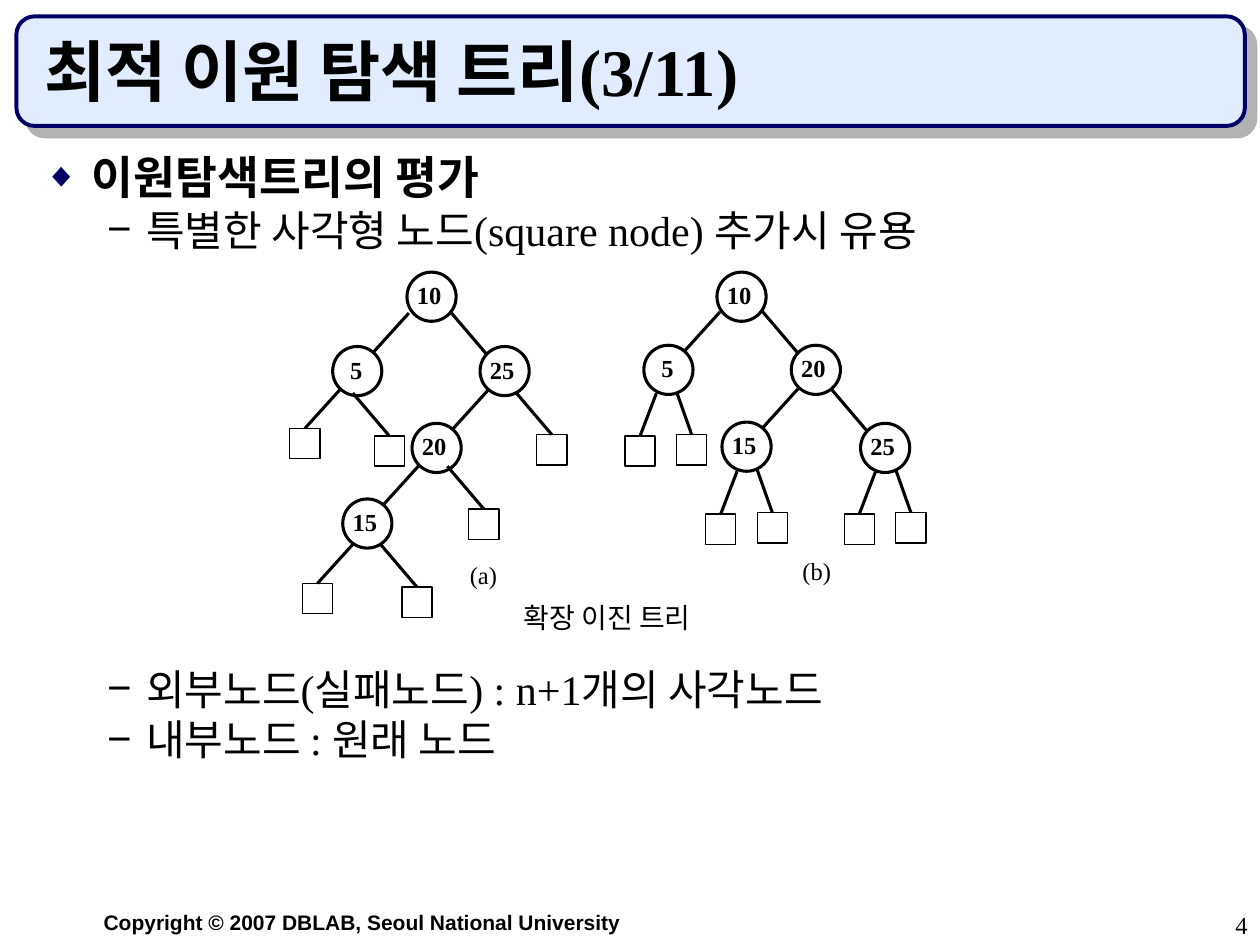
from dataclasses import dataclass

from lxml import etree
from pptx import Presentation
from pptx.dml.color import RGBColor
from pptx.enum.shapes import MSO_CONNECTOR, MSO_SHAPE
from pptx.enum.text import MSO_ANCHOR, MSO_AUTO_SIZE, PP_ALIGN
from pptx.oxml.ns import qn
from pptx.util import Inches, Pt

STRAIGHT = MSO_CONNECTOR.STRAIGHT
CIRCLE, SQUARE, ROUNDED = MSO_SHAPE.OVAL, MSO_SHAPE.RECTANGLE, MSO_SHAPE.ROUNDED_RECTANGLE
LEFT, CENTER, RIGHT, JUSTIFY = PP_ALIGN.LEFT, PP_ALIGN.CENTER, PP_ALIGN.RIGHT, PP_ALIGN.JUSTIFY
TOP, BOTTOM = MSO_ANCHOR.TOP, MSO_ANCHOR.BOTTOM
NO_FIT, GROW = MSO_AUTO_SIZE.NONE, MSO_AUTO_SIZE.SHAPE_TO_FIT_TEXT


@dataclass(frozen=True)
class Theme:
    ink: str = "000000"
    accent: str = "000066"
    banner: str = "E1ECFF"
    shadow: str = "B2B2B2"
    serif: str = "Times New Roman"
    sans: str = "Arial"
    title: float = 38
    topic: float = 26
    item: float = 24
    caption: float = 16
    label: float = 14
    footer: float = 12
    heavy: float = 2.25
    stroke: float = 1.75
    thin: float = 0.75


THEME = Theme()

NODE, LEAF = 0.39, 0.24  # circle and square sizes

# Edge kind: run from parent to child, and where it lands from the child's centre
EDGES = {
    "left": ((-0.29, 0.32), (0.12, -0.14)),
    "right": ((0.29, 0.34), (-0.14, -0.13)),
    "steep left": ((-0.13, 0.34), None),
    "steep right": ((0.12, 0.34), None),
}

# Trees as (label, left, top, edge from the parent); a node without label is external
TREE_A = [
    ("10", 0.93, 0, None),
    ("5", 0.34, 0.59, "left"), ("25", 1.51, 0.59, "right"),
    ("20", 0.97, 1.2, "left"), ("15", 0.42, 1.8, "left"),
    ("", 0, 1.24, "left"), ("", 0.67, 1.3, "right"),
    ("", 1.96, 1.29, "right"), ("", 1.42, 1.88, "right"),
    ("", 0.1, 2.47, "left"), ("", 0.89, 2.5, "right"),
]
TREE_B = [
    ("10", 0.73, 0, None),
    ("5", 0.15, 0.58, "left"), ("20", 1.32, 0.58, "right"),
    ("15", 0.77, 1.19, "left"), ("25", 1.87, 1.2, "right"),
    ("", 0, 1.3, "steep left"), ("", 0.41, 1.29, "steep right"),
    ("", 0.64, 1.92, "steep left"), ("", 1.05, 1.91, "steep right"),
    ("", 1.74, 1.92, "steep left"), ("", 2.15, 1.91, "steep right"),
]


def inches(*values):
    return [Inches(value) for value in values]


def place(shape, box):
    shape.left, shape.top, shape.width, shape.height = inches(*box)


def add_bullet(paragraph, character, color, percent, left, hanging):
    properties = paragraph._p.get_or_add_pPr()
    properties.set("marL", str(Inches(left)))
    properties.set("indent", str(-Inches(hanging)))
    bullet_color = etree.SubElement(properties, qn("a:buClr"))
    etree.SubElement(bullet_color, qn("a:srgbClr"), val=color)
    etree.SubElement(properties, qn("a:buSzPct"), val=str(percent * 1000))
    etree.SubElement(properties, qn("a:buChar"), char=character)


def write(paragraph, text, size, bold=False, font=THEME.serif, align=LEFT,
          spacing=1.0, before=0, level=0, bullet=None):
    """Fill one paragraph with formatted text."""
    paragraph.level = level
    if bullet:
        add_bullet(paragraph, *bullet)
    paragraph.alignment = align
    paragraph.line_spacing = spacing
    paragraph.space_before = Pt(before)
    run = paragraph.add_run()
    run.text = text
    run.font.size, run.font.bold, run.font.name = Pt(size), bold, font
    run.font.color.rgb = RGBColor.from_string(THEME.ink)


def add_label(slide, box, text, size, fit=GROW, **text_format):
    frame = slide.shapes.add_textbox(*inches(*box)).text_frame
    frame.word_wrap = True
    frame.auto_size = fit
    write(frame.paragraphs[0], text, size, **text_format)


def add_outline(slide, kind, box, width, color=THEME.ink):
    shape = slide.shapes.add_shape(kind, *inches(*box))
    shape.shadow.inherit = False
    shape.fill.background()
    shape.line.color.rgb = RGBColor.from_string(color)
    shape.line.width = Pt(width)
    return shape


def add_edge(slide, start, end):
    edge = slide.shapes.add_connector(STRAIGHT, *inches(*start, *end))
    edge.line.color.rgb = RGBColor.from_string(THEME.ink)
    edge.line.width = Pt(THEME.stroke)
    etree.SubElement(edge._element.spPr, qn("a:effectLst"))
    return edge


def add_banner(slide, box):
    banner = add_outline(slide, ROUNDED, box, THEME.heavy, THEME.accent)
    banner.fill.solid()
    banner.fill.fore_color.rgb = RGBColor.from_string(THEME.banner)
    effects = banner._element.spPr.find(qn("a:effectLst"))
    shadow = etree.SubElement(effects, qn("a:outerShdw"), blurRad="0", dist=str(Pt(8.5)),
                              dir=str(45 * 60000), algn="ctr", rotWithShape="0")
    etree.SubElement(shadow, qn("a:srgbClr"), val=THEME.shadow)
    # Send behind the placeholders
    banner._element.getparent().insert(2, banner._element)


def fill_title(slide, box):
    title = slide.shapes.title
    place(title, box)
    frame = title.text_frame
    frame.vertical_anchor, frame.auto_size = BOTTOM, NO_FIT
    write(frame.paragraphs[0], "최적 이원 탐색 트리(3/11)", THEME.title, bold=True)


def fill_body(slide, box):
    body = slide.placeholders[1]
    place(body, box)
    frame = body.text_frame
    frame.vertical_anchor, frame.auto_size = TOP, NO_FIT
    write(frame.paragraphs[0], "이원탐색트리의 평가", THEME.topic, bold=True, spacing=0.8,
          bullet=("◆", THEME.accent, 75, 0.38, 0.38))
    items = [
        ("특별한 사각형 노드(square node) 추가시 유용", 6),
        ("외부노드(실패노드) : n+1개의 사각노드", 239),  # leaves room for the trees
        ("내부노드 : 원래 노드", 6),
    ]
    for text, before in items:
        write(frame.add_paragraph(), text, THEME.item, spacing=0.8, before=before, level=1,
              bullet=("−", THEME.ink, 100, 0.81, 0.31))


def add_tree(slide, origin, nodes, caption, caption_offset):
    for label, left, top, kind in nodes:
        x, y = origin[0] + left, origin[1] + top
        size = NODE if label else LEAF
        shape = add_outline(slide, CIRCLE if label else SQUARE, (x, y, size, size),
                            THEME.stroke if label else THEME.thin)
        if label:
            shift = -0.02 if len(label) > 1 else 0.04
            add_label(slide, (x + shift, y + 0.06, 0.47, 0.29), label, THEME.label,
                      bold=True, align=JUSTIFY, spacing=0.8)
        if kind:
            (run_x, run_y), landing = EDGES[kind]
            if label:
                end = (x + size / 2 + landing[0], y + size / 2 + landing[1])
            else:
                end = (x + size / 2, y)
            edge = add_edge(slide, (end[0] - run_x, end[1] - run_y), end)
            if not label:
                edge.end_connect(shape, 0)
    add_label(slide, (origin[0] + caption_offset[0], origin[1] + caption_offset[1], 0.55, 0.29),
              caption, THEME.label, align=JUSTIFY, spacing=0.8)


def add_footer(slide, top):
    add_label(slide, (0.25, top, 5.25, 0.3), "Copyright © 2007 DBLAB, Seoul National University",
              THEME.footer, bold=True, font=THEME.sans, align=CENTER)
    add_label(slide, (7.92, top, 2.08, 0.33), "4", THEME.label, fit=NO_FIT, align=RIGHT)


def main():
    presentation = Presentation()
    presentation.slide_width, presentation.slide_height = inches(10, 7.5)
    slide = presentation.slides.add_slide(presentation.slide_layouts[1])
    add_banner(slide, (0.13, 0.13, 9.75, 0.87))
    fill_title(slide, (0.25, 0.25, 9.42, 0.67))
    fill_body(slide, (0.25, 1.22, 9.42, 5.83))
    add_tree(slide, (2.3, 2.16), TREE_A, "(a)", (1.33, 2.28))
    add_tree(slide, (4.96, 2.16), TREE_B, "(b)", (1.31, 2.25))
    add_label(slide, (4.06, 4.77, 1.97, 0.32), "확장 이진 트리", THEME.caption,
              align=JUSTIFY, spacing=0.8)
    add_footer(slide, 7.17)
    presentation.save("out.pptx")


if __name__ == "__main__":
    main()
